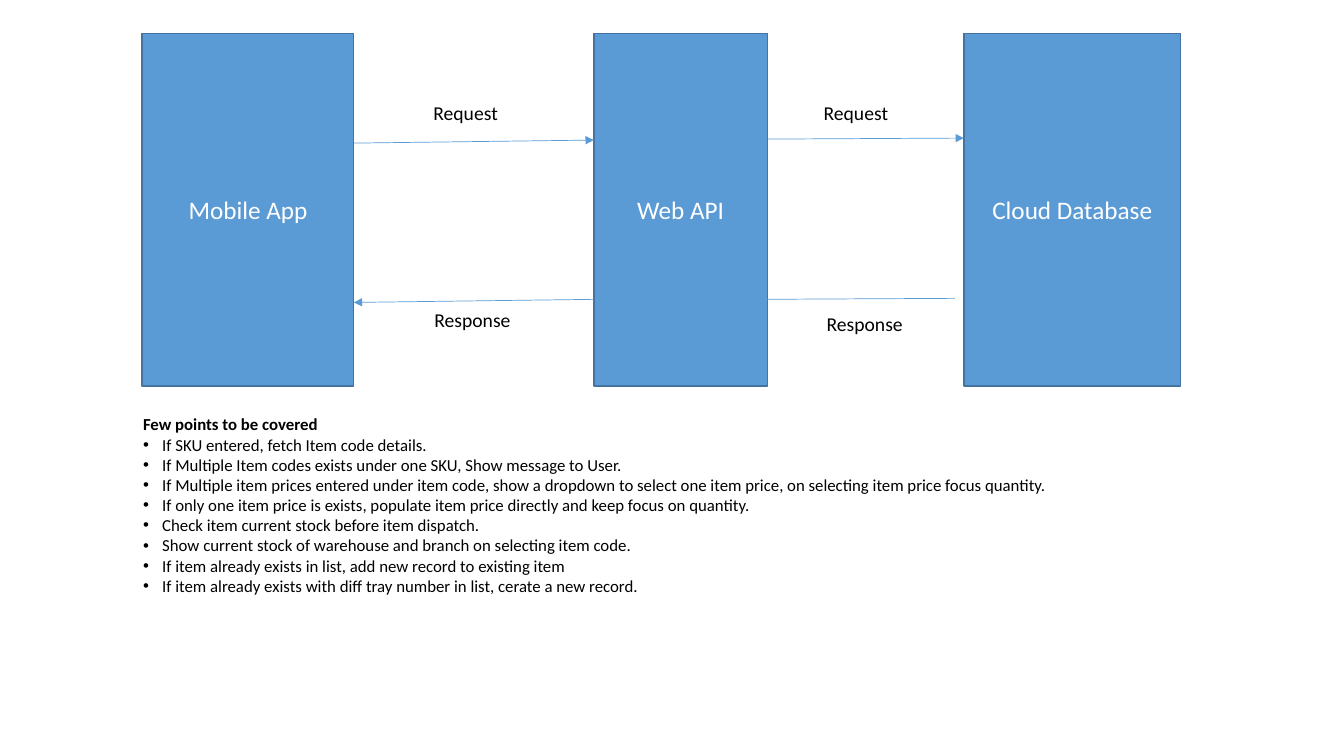
from lxml.etree import SubElement
from pptx import Presentation
from pptx.dml.color import RGBColor
from pptx.enum.shapes import MSO_CONNECTOR as Link, MSO_SHAPE as Form
from pptx.enum.text import MSO_ANCHOR as Anchor, MSO_AUTO_SIZE as Fit, PP_ALIGN as Align
from pptx.oxml.ns import qn
from pptx.util import Pt

SCALE = 9144  # EMU per px, 100 px to the inch
WIDE, HIGH = 1333, 750
BLUE, EDGE, WHITE, BLACK = "5B9BD5", "43739E", "FFFFFF", "000000"


def px(*vals):
    return [val * SCALE for val in vals]


def tint(code):
    return RGBColor.from_string(code)


def assign(item, form):
    for key, val in form.items():
        setattr(item, key, val)


class Board:
    """Holds the style and the current slide."""
    face = "Calibri"

    def __init__(self, slide):
        self.shapes = slide.shapes

    def add_text(self, para, text, size, color, bold=False):
        run = para.add_run()
        run.text = text
        assign(run.font, {"name": self.face, "size": Pt(size), "bold": bold})
        run.font.color.rgb = tint(color)

    def box(self, name, left, top, width, height):
        shape = self.shapes.add_shape(Form.RECTANGLE, *px(left, top, width, height))
        shape.shadow.inherit = False
        shape.fill.solid()
        shape.fill.fore_color.rgb = tint(BLUE)
        shape.line.color.rgb = tint(EDGE)
        shape.line.width = Pt(1)
        shape.text_frame.vertical_anchor = Anchor.MIDDLE
        para = shape.text_frame.paragraphs[0]
        para.alignment = Align.CENTER
        self.add_text(para, name, 18, WHITE)

    def arrow(self, *ends):
        link = self.shapes.add_connector(Link.STRAIGHT, *px(*ends))
        link.line.color.rgb = tint(BLUE)
        link.line.width = Pt(0.5)
        props = link._element.spPr
        SubElement(props.find(qn("a:ln")), qn("a:tailEnd"), type="triangle")
        SubElement(props, qn("a:effectLst"))

    def frame(self, left, top, width, height):
        frame = self.shapes.add_textbox(*px(left, top, width, height)).text_frame
        assign(frame, {"word_wrap": False, "auto_size": Fit.SHAPE_TO_FIT_TEXT})
        return frame

    def label(self, text, left, top, width):
        self.add_text(self.frame(left, top, width, 34).paragraphs[0], text, 14, BLACK)

    def points(self, head, items, *place):
        frame = self.frame(*place)
        self.add_text(frame.paragraphs[0], head, 12, BLACK, bold=True)
        for item in items:
            para = frame.add_paragraph()
            self.add_text(para, item, 12, BLACK)
            props = para._p.get_or_add_pPr()
            dent, = px(19)
            props.set("marL", str(dent))
            props.set("indent", str(-dent))
            SubElement(props, qn("a:buFont"), typeface="Arial")
            SubElement(props, qn("a:buChar"), char="•")


BOXES = [("Mobile App", 141, 210), ("Web API", 589, 172), ("Cloud Database", 956, 215)]
ARROWS = [
    (351, 142, 589, 139),
    (761, 138, 956, 137),
    (589, 297, 351, 300),
    (947, 296, 751, 297),
]
LABELS = [
    ("Request", 420, 95, 85),
    ("Request", 807, 95, 85),
    ("Response", 421, 301, 97),
    ("Response", 810, 305, 97),
]
POINTS = [
    "If SKU entered, fetch Item code details.",
    "If Multiple Item codes exists under one SKU, Show message to User.",
    "If Multiple item prices entered under item code, show a dropdown to select one "
    "item price, on selecting item price focus quantity.",
    "If only one item price is exists, populate item price directly and keep focus on quantity.",
    "Check item current stock before item dispatch.",
    "Show current stock of warehouse and branch on selecting item code.",
    "If item already exists in list, add new record to existing item",
    "If item already exists with diff tray number in list, cerate a new record.",
]


def main():
    deck = Presentation()
    deck.slide_width, deck.slide_height = px(WIDE, HIGH)
    board = Board(deck.slides.add_slide(deck.slide_layouts[6]))
    for name, left, width in BOXES:
        board.box(name, left, 33, width, 350)
    for ends in ARROWS:
        board.arrow(*ends)
    for label in LABELS:
        board.label(*label)
    board.points("Few points to be covered", POINTS, 132, 406, 922, 192)
    deck.save("out.pptx")


if __name__ == "__main__":
    main()
